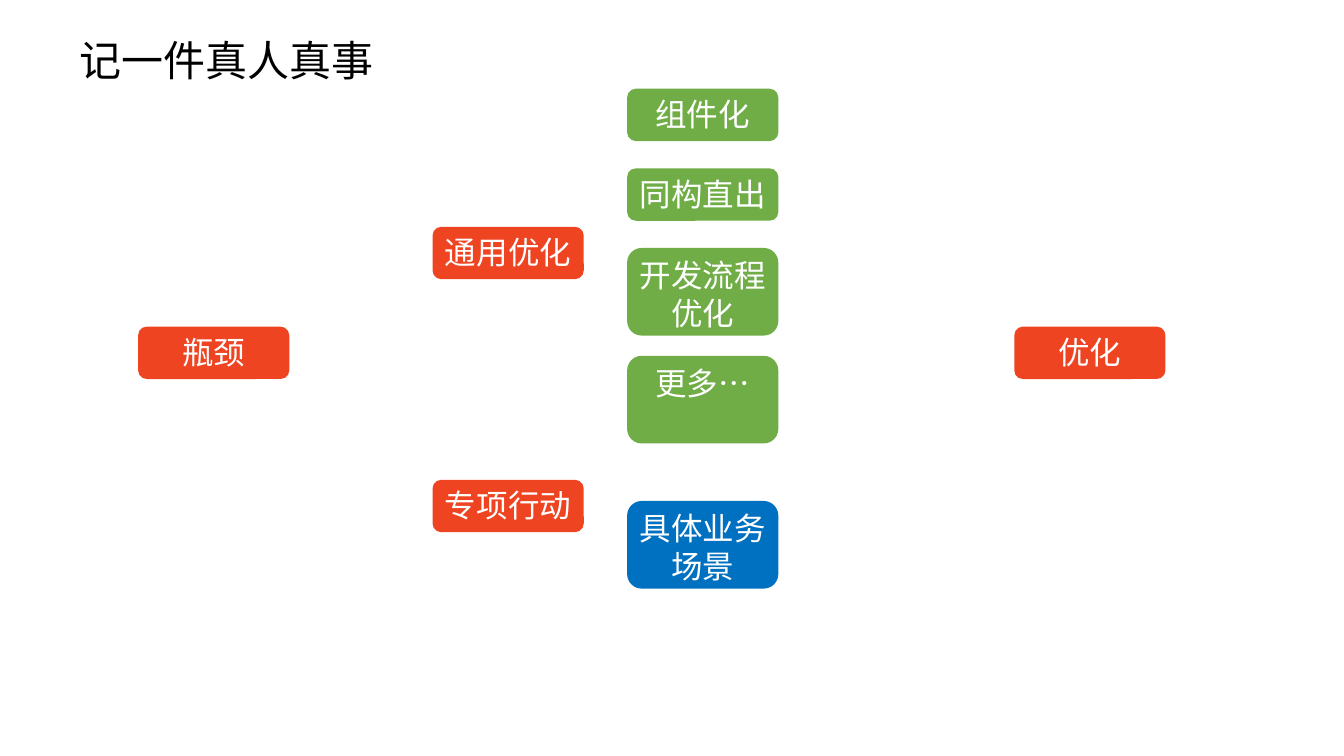
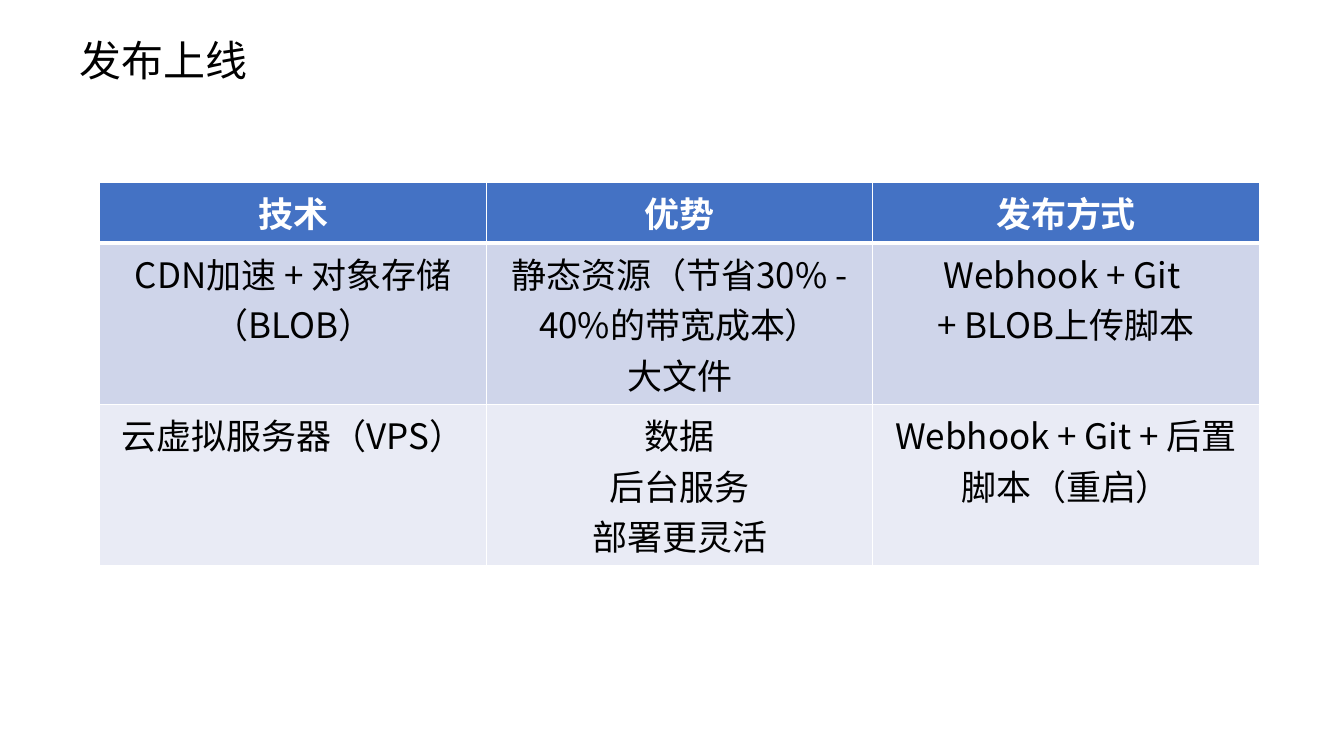
from lxml import etree
from pptx import Presentation
from pptx.dml.color import RGBColor
from pptx.enum.lang import MSO_LANGUAGE_ID
from pptx.enum.shapes import MSO_SHAPE
from pptx.enum.text import MSO_ANCHOR, PP_ALIGN
from pptx.oxml.ns import qn
from pptx.util import Pt

EMU_PER_PX = 9144
BLANK_LAYOUT = 6
ROUNDED = MSO_SHAPE.ROUNDED_RECTANGLE
TOP, MIDDLE = MSO_ANCHOR.TOP, MSO_ANCHOR.MIDDLE
LEFT, CENTER = PP_ALIGN.LEFT, PP_ALIGN.CENTER
CHINESE = MSO_LANGUAGE_ID.SIMPLIFIED_CHINESE

BLACK = RGBColor(0x00, 0x00, 0x00)
WHITE = RGBColor(0xFF, 0xFF, 0xFF)
RED = RGBColor(0xEE, 0x44, 0x22)
GREEN = RGBColor(0x70, 0xAD, 0x47)
BLUE = RGBColor(0x00, 0x70, 0xC0)
HEADER_BLUE = RGBColor(0x44, 0x72, 0xC4)
DARK_BAND = RGBColor(0xCF, 0xD5, 0xEA)
LIGHT_BAND = RGBColor(0xE9, 0xEB, 0xF5)

CJK_FONT = "Noto Sans CJK SC"
TITLE_FONT = {"name": CJK_FONT, "size": Pt(30), "language_id": CHINESE}
BOX_FONT = {"name": "Arial", "size": Pt(22.5), "language_id": CHINESE}
BODY_FONT = {"name": CJK_FONT, "size": Pt(25), "bold": False, "language_id": CHINESE}
HEADER_FONT = {**BODY_FONT, "bold": True}

BOX_WIDTH = 150
ONE_LINE, TWO_LINES = 52, 87
BOX_MARGINS = {"margin_left": 7, "margin_right": 7, "margin_top": 4, "margin_bottom": 4}
STEP_LEFT, STEP_TOP, STEP_PITCH = 622, 88, 79
BOXES = [
    ("瓶颈", 137, 324, ONE_LINE, RED),
    ("优化", 1006, 324, ONE_LINE, RED),
    ("通用优化", 429, 225, ONE_LINE, RED),
    ("专项行动", 429, 476, ONE_LINE, RED),
    ("组件化", STEP_LEFT, STEP_TOP, ONE_LINE, GREEN),
    ("同构直出", STEP_LEFT, STEP_TOP + STEP_PITCH, ONE_LINE, GREEN),
    ("开发流程优化", STEP_LEFT, STEP_TOP + 2 * STEP_PITCH, TWO_LINES, GREEN),
    ("更多…", STEP_LEFT, 353, TWO_LINES, GREEN),
    ("具体业务场景", STEP_LEFT, 497, TWO_LINES, BLUE),
]

ROW_HEIGHTS = [60, 160, 160]
ROW_FILLS = [HEADER_BLUE, DARK_BAND, LIGHT_BAND]
ROWS = [
    ["技术", "优势", "发布方式"],
    [
        "CDN加速 + 对象存储（BLOB）",
        "静态资源（节省30% - 40%的带宽成本）\n大文件",
        "Webhook + Git \n+ BLOB上传脚本",
    ],
    [
        "云虚拟服务器（VPS）",
        "数据\n后台服务\n部署更灵活",
        "Webhook + Git + 后置脚本（重启）",
    ],
]


def px(*lengths):
    """Turn pixel lengths into a list of EMU lengths."""
    return [length * EMU_PER_PX for length in lengths]


def write_text(text_frame, text, font_format, color, alignment):
    """Write one paragraph per line of text in the given format."""
    text_frame.text = text
    for paragraph in text_frame.paragraphs:
        paragraph.alignment = alignment
        for run in paragraph.runs:
            for name, value in font_format.items():
                setattr(run.font, name, value)
            run.font.color.rgb = color
            east_asian = etree.SubElement(run.font._element, qn("a:ea"))
            east_asian.set("typeface", CJK_FONT)


def add_titled_slide(presentation, title):
    """Add a blank slide with the shared title style."""
    slide = presentation.slides.add_slide(presentation.slide_layouts[BLANK_LAYOUT])
    text_frame = slide.shapes.add_textbox(*px(69, 30, 862, 58)).text_frame
    text_frame.word_wrap = True
    text_frame.vertical_anchor = MIDDLE
    write_text(text_frame, title, TITLE_FONT, BLACK, LEFT)
    return slide


def add_box(slide, text, left, top, height, color):
    """Add a filled rounded box with white centred text."""
    shape = slide.shapes.add_shape(ROUNDED, *px(left, top, BOX_WIDTH, height))
    shape.shadow.inherit = False
    shape.fill.solid()
    shape.fill.fore_color.rgb = color
    shape.line.fill.background()
    text_frame = shape.text_frame
    text_frame.word_wrap = True
    text_frame.vertical_anchor = TOP
    for name, margin in BOX_MARGINS.items():
        setattr(text_frame, name, margin * EMU_PER_PX)
    write_text(text_frame, text, BOX_FONT, WHITE, CENTER)


def add_cell_borders(cell, widths):
    """Draw white borders of the given point widths on a cell."""
    properties = cell._tc.get_or_add_tcPr()
    for tag, width in widths.items():
        line = etree.SubElement(properties, qn(tag), w=str(Pt(width)))
        fill = etree.SubElement(line, qn("a:solidFill"))
        etree.SubElement(fill, qn("a:srgbClr"), val=str(WHITE))


def add_table(slide, left, top, width):
    """Add the table of publishing methods with equal columns."""
    frame = slide.shapes.add_table(
        len(ROWS), len(ROWS[0]), *px(left, top, width, sum(ROW_HEIGHTS))
    )
    table = frame.table
    table.horz_banding = False
    for row_index, texts in enumerate(ROWS):
        is_header = row_index == 0
        table.rows[row_index].height = ROW_HEIGHTS[row_index] * EMU_PER_PX
        borders = {
            "a:lnL": 1,
            "a:lnR": 1,
            "a:lnT": 3 if row_index == 1 else 1,
            "a:lnB": 3 if is_header else 1,
        }
        for column_index, text in enumerate(texts):
            cell = table.cell(row_index, column_index)
            add_cell_borders(cell, borders)
            cell.fill.solid()
            cell.fill.fore_color.rgb = ROW_FILLS[row_index]
            font_format = HEADER_FONT if is_header else BODY_FONT
            color = WHITE if is_header else BLACK
            write_text(cell.text_frame, text, font_format, color, CENTER)


def main():
    """Build the slides and save the presentation."""
    presentation = Presentation()
    presentation.slide_width, presentation.slide_height = px(1333, 750)

    story_slide = add_titled_slide(presentation, "记一件真人真事")
    for box in BOXES:
        add_box(story_slide, *box)

    release_slide = add_titled_slide(presentation, "发布上线")
    add_table(release_slide, 99, 181, 1150)

    presentation.save("out.pptx")


if __name__ == "__main__":
    main()
